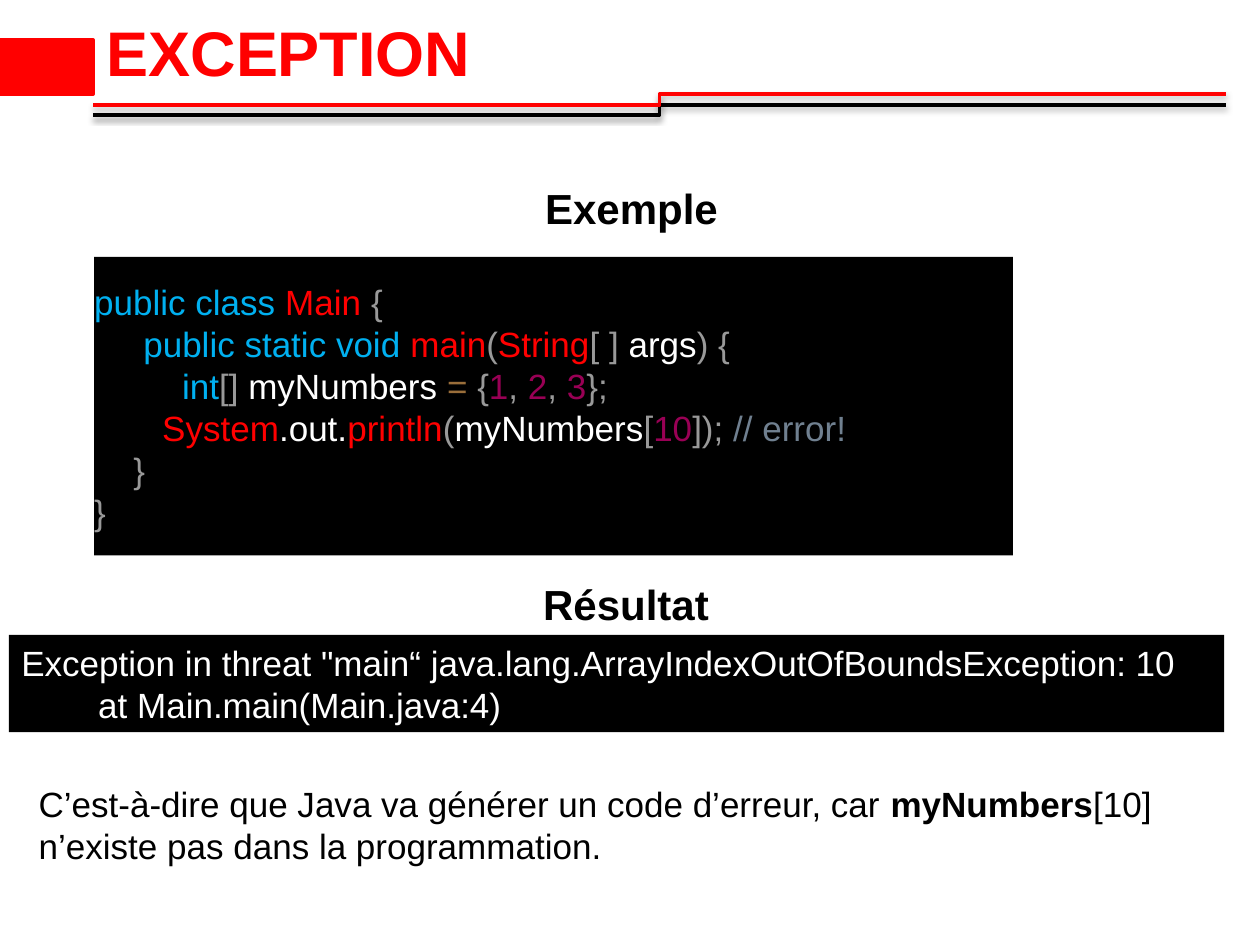
from lxml import etree
from pptx import Presentation
from pptx import util as u
from pptx.dml.color import RGBColor
from pptx.enum import shapes, text
from pptx.oxml import ns

RED, BLACK, WHITE = "FF0000", "000000", "FFFFFF"
BLUE, GREY, PURPLE, BROWN, SLATE = "00B0F0", "999999", "990055", "9A6E3A", "708090"

CODE = [
    (0, [("public class ", BLUE), ("Main ", RED), ("{", GREY)]),
    (0.99, [("public static void ", BLUE), ("main", RED), ("(", GREY), ("String", RED),
            ("[ ] ", GREY), ("args", WHITE), (") {", GREY)]),
    (1.77, [("int", BLUE), ("[] ", GREY), ("myNumbers ", WHITE), ("= ", BROWN), ("{", GREY),
            ("1", PURPLE), (", ", GREY), ("2", PURPLE), (", ", GREY), ("3", PURPLE),
            ("};", GREY)]),
    (1.37, [("System", RED), (".out.", WHITE), ("println", RED), ("(", GREY),
            ("myNumbers", WHITE), ("[", GREY), ("10", PURPLE), ("]); ", GREY),
            ("// error!", SLATE)]),
    (0.79, [("}", GREY)]),
    (0, [("}", GREY)]),
]
RESULT = [
    (0, [('Exception in threat "main“ java.lang.ArrayIndexOutOfBoundsException: 10', WHITE)]),
    (1.55, [("at Main.main(Main.java:4)", WHITE)]),
]
REMARK = [
    (0, [("C’est-à-dire que Java va générer un code d’erreur, car ", BLACK),
         ("myNumbers", BLACK, True),
         ("[10] n’existe pas dans la programmation.", BLACK)]),
]
TITLE = [(0, [("EXCEPTION", RED, True)])]
EXAMPLE = [(0, [(" Exemple", BLACK, True)])]
OUTCOME = [(0, [("Résultat", BLACK, True)])]

MIDDLE, CENTER = text.MSO_ANCHOR.MIDDLE, text.PP_ALIGN.CENTER
CODE_FRAME = {"vertical_anchor": MIDDLE, "margin_left": 0, "margin_right": 0,
              "margin_top": u.Cm(0.43), "margin_bottom": u.Cm(0.43)}
BLOCKS = [
    (TITLE, (1.9, 0.13, 22.8, 1.8), 36, None, None, {"vertical_anchor": MIDDLE}),
    (EXAMPLE, (0.18, 3.56, 24.87, 2.31), 24, None, CENTER, {}),
    (CODE, (1.9, 5.18, 18.52, 6.02), 20, BLACK, None, CODE_FRAME),
    (OUTCOME, (8.05, 11.53, 9.14, 1.27), 24, None, CENTER, {}),
    (RESULT, (0.18, 12.8, 24.5, 1.96), 20, BLACK, None, {"vertical_anchor": MIDDLE}),
    (REMARK, (0.53, 15.65, 23.3, 1.96), 20, None, None, {}),
]
RULES = [(BLACK, 2.32, 2.12), (RED, 2.12, 1.9)]
RULE_LEFT, RULE_RIGHT = 1.88, 24.71
TAB = (0, 0.81, RULE_LEFT, 1.09)


def rgb(value):
    return RGBColor.from_string(value)


def apply(obj, values):
    for name, value in values.items():
        setattr(obj, name, value)


def add_box(s, box, fill, line=None):
    sp = s.shapes.add_shape(shapes.MSO_SHAPE.RECTANGLE, *map(u.Cm, box))
    sp.shadow.inherit = False
    sp.fill.solid()
    sp.fill.fore_color.rgb = rgb(fill)
    if line:
        sp.line.color.rgb = rgb(line)
        sp.line.width = u.Pt(2)
    else:
        sp.line.fill.background()
    return sp


def add_rule(s, color, start, end):
    sp = s.shapes.add_connector(shapes.MSO_CONNECTOR.ELBOW, u.Cm(RULE_LEFT), u.Cm(start),
                                u.Cm(RULE_RIGHT), u.Cm(end))
    sp.line.color.rgb = rgb(color)
    sp.line.width = u.Pt(2)
    effects = etree.SubElement(sp._element.spPr, ns.qn("a:effectLst"))
    shadow = etree.SubElement(effects, ns.qn("a:outerShdw"), blurRad="40000",
                              dist="20000", dir="5400000", rotWithShape="0")
    tint = etree.SubElement(shadow, ns.qn("a:srgbClr"), val=BLACK)
    etree.SubElement(tint, ns.qn("a:alpha"), val="38000")


def write(tf, lines, size, align):
    for i, (indent, runs) in enumerate(lines):
        p = tf.add_paragraph() if i else tf.paragraphs[0]
        p.alignment = align or text.PP_ALIGN.LEFT
        if indent:
            p._p.get_or_add_pPr().set("marL", str(u.Cm(indent)))
        for words, color, *bold in runs:
            r = p.add_run()
            r.text = words
            apply(r.font, {"name": "Arial", "size": u.Pt(size), "bold": bool(bold)})
            r.font.color.rgb = rgb(color)


def main():
    prs = Presentation()
    apply(prs, {"slide_width": u.Cm(25.4), "slide_height": u.Cm(19.05)})
    s = prs.slides.add_slide(prs.slide_layouts[6])
    for rule in RULES:
        add_rule(s, *rule)
    add_box(s, TAB, RED, RED)
    for lines, box, size, fill, align, frame in BLOCKS:
        sp = add_box(s, box, fill) if fill else s.shapes.add_textbox(*map(u.Cm, box))
        tf = sp.text_frame
        apply(tf, {"word_wrap": True, **frame})
        write(tf, lines, size, align)
    prs.save("out.pptx")


if __name__ == "__main__":
    main()
